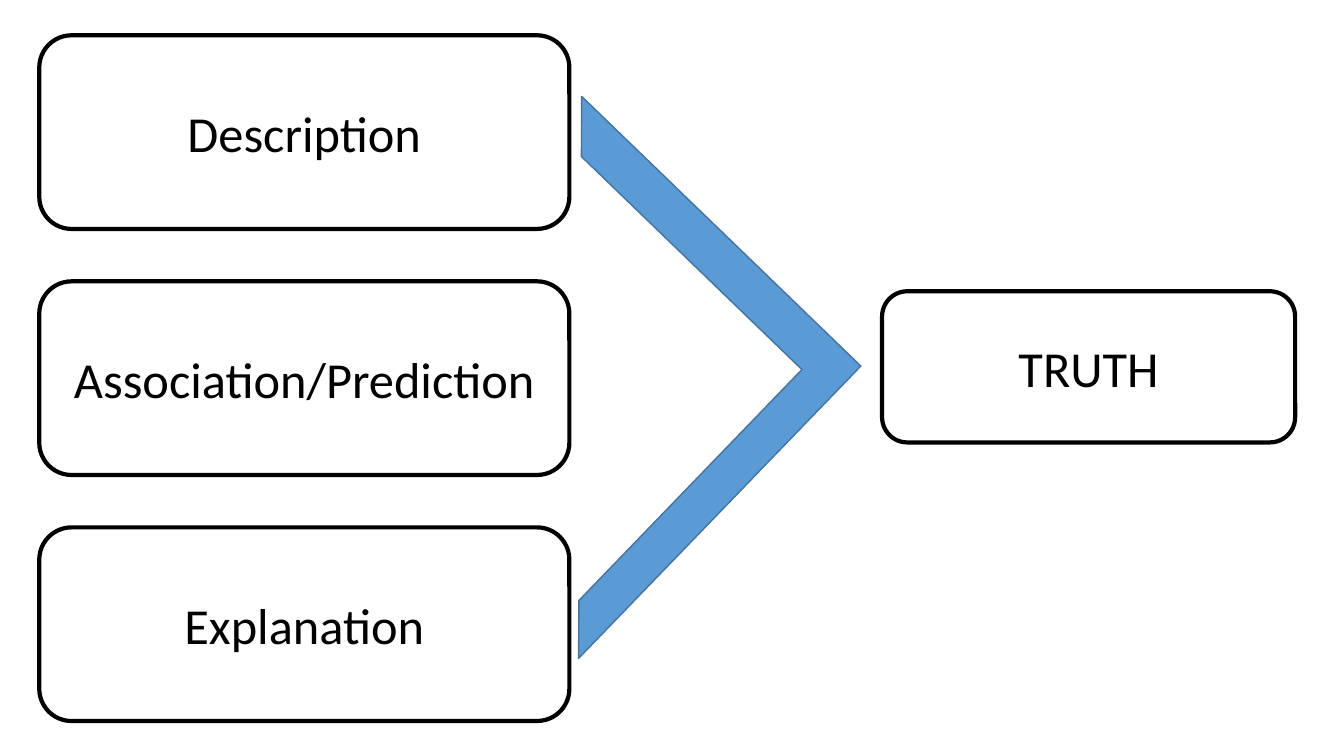
from pptx import Presentation
from pptx import util as u
from pptx.dml.color import RGBColor
from pptx.enum import shapes, text

COLORS = {"ink": "000000", "arrow": "5B9BD5", "arrow_edge": "43739E"}

presentation = Presentation()
presentation.slide_width = u.Cm(33.87)
presentation.slide_height = u.Cm(19.05)
slide = presentation.slides.add_slide(presentation.slide_layouts[6])


def add_outlined(kind, left, top, width, height, line_color, line_width):
    shape = slide.shapes.add_shape(
        kind, u.Cm(left), u.Cm(top), u.Cm(width), u.Cm(height))
    shape.shadow.inherit = False
    shape.fill.background()
    shape.line.color.rgb = RGBColor.from_string(COLORS[line_color])
    shape.line.width = u.Pt(line_width)
    return shape


def write_text(shape, wording, font="Calibri", size=36, color="ink"):
    frame = shape.text_frame
    frame.word_wrap = True
    frame.vertical_anchor = text.MSO_ANCHOR.MIDDLE
    paragraph = frame.paragraphs[0]
    paragraph.alignment = text.PP_ALIGN.CENTER
    run = paragraph.add_run()
    run.text = wording
    run.font.name = font
    run.font.size = u.Pt(size)
    run.font.color.rgb = RGBColor.from_string(COLORS[color])


# Three evenly spaced aims on the left, and the truth they lead to
AIM_TOP, AIM_PITCH = 0.89, 6.2
aims = ["Description", "Association/Prediction", "Explanation"]
boxes = [(aim, 0.99, AIM_TOP + row * AIM_PITCH, 13.36, 4.88)
         for row, aim in enumerate(aims)]
boxes.append(("TRUTH", 22.23, 7.34, 10.41, 3.81))

for wording, *place in boxes:
    box = add_outlined(shapes.MSO_SHAPE.ROUNDED_RECTANGLE, *place, "ink", 3)
    write_text(box, wording)

# Half frame turned to point from the aims to the truth
arrow = add_outlined(shapes.MSO_SHAPE.HALF_FRAME,
                     9.5, 4.62, 10.24, 9.78, "arrow_edge", 1)
arrow.fill.solid()
arrow.fill.fore_color.rgb = RGBColor.from_string(COLORS["arrow"])
arrow.rotation = 134
arrow.adjustments[0] = 0.103
arrow.adjustments[1] = 0.112

presentation.save("out.pptx")
